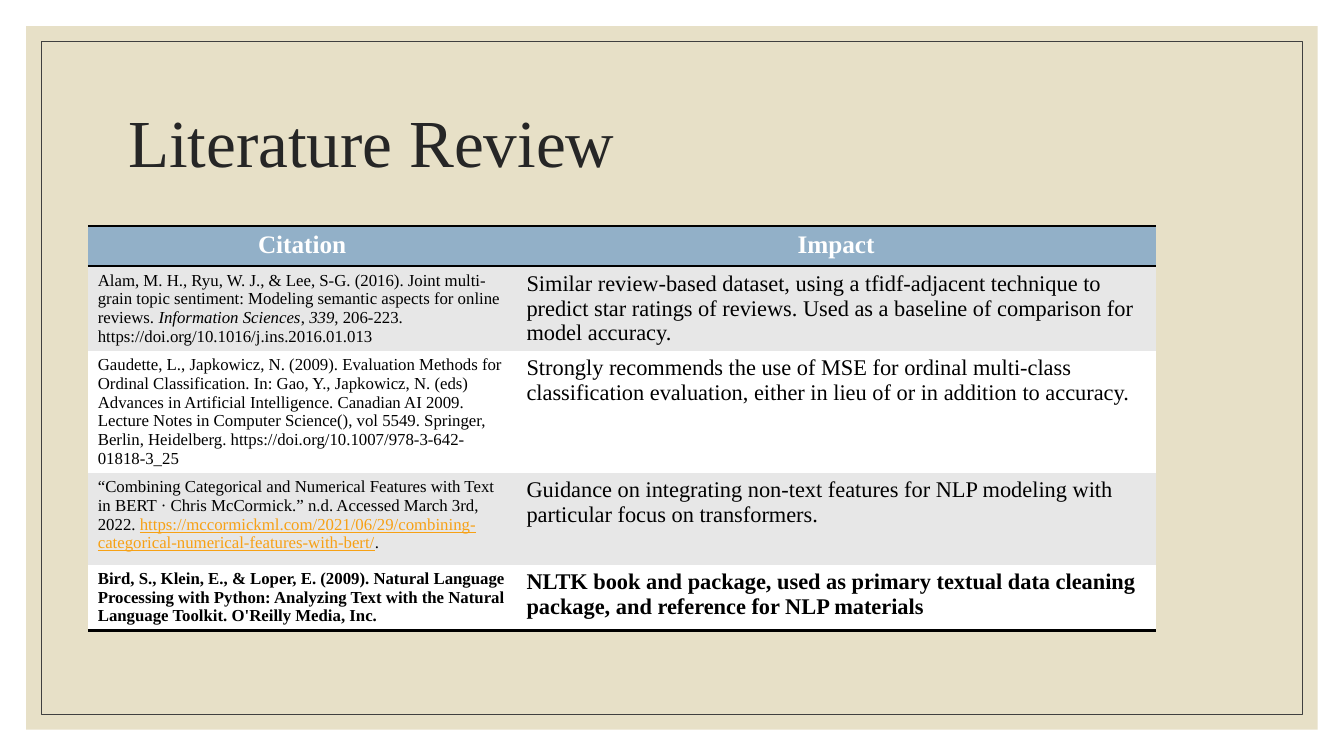
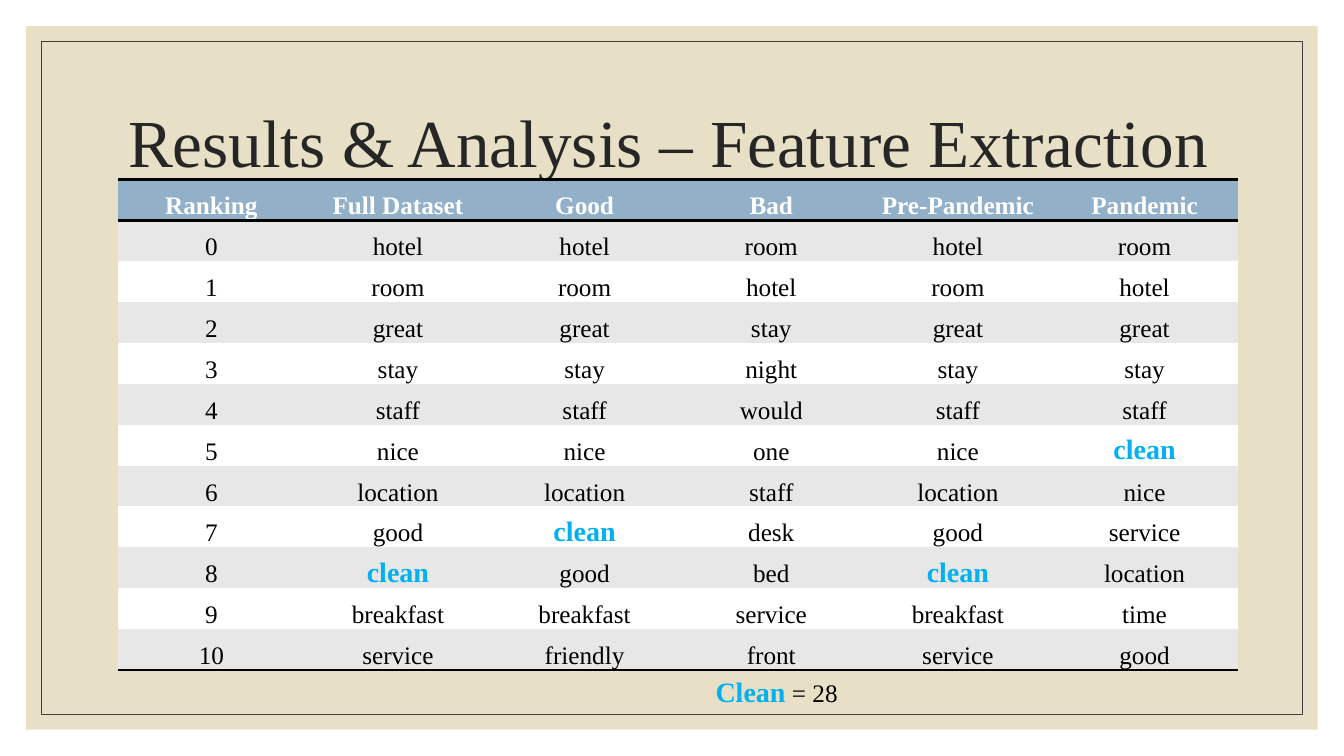
from pptx import Presentation
from pptx.dml.color import RGBColor
from pptx.enum.shapes import MSO_SHAPE
from pptx.enum.text import MSO_ANCHOR, MSO_AUTO_SIZE, PP_ALIGN
from pptx.oxml import parse_xml
from pptx.oxml.ns import nsdecls
from pptx.util import Inches, Pt

RECT = MSO_SHAPE.RECTANGLE
TOP, MIDDLE, BOTTOM = MSO_ANCHOR.TOP, MSO_ANCHOR.MIDDLE, MSO_ANCHOR.BOTTOM
NO_FIT = MSO_AUTO_SIZE.NONE
LEFT, CENTER = PP_ALIGN.LEFT, PP_ALIGN.CENTER

W, H = Inches(13.33), Inches(7.5)
FONT = "Times New Roman"
SAND, FRAME, TITLE = "E7E0C7", "404040", "262626"
HEAD, GREY, WHITE, BLACK = "92B0C8", "E7E7E7", "FFFFFF", "000000"
LINK, ACCENT = "F7A115", "00B0F0"
PLAIN_GRID = "{2D5ABB26-0587-4C30-8999-92F81FD0307C}"
TIGHT = Inches(0.01)

CITATIONS = [
    ([("Alam, M. H., Ryu, W. J., & Lee, S-G. (2016). Joint multi-grain topic sentiment: "
       "Modeling semantic aspects for online reviews. ", ""),
      ("Information Sciences", "italic"), (", ", ""), ("339", "italic"),
      (", 206-223. https://doi.org/10.1016/j.ins.2016.01.013", "")],
     "Similar review-based dataset, using a tfidf-adjacent technique to predict star ratings "
     "of reviews. Used as a baseline of comparison for model accuracy."),
    ("Gaudette, L., Japkowicz, N. (2009). Evaluation Methods for Ordinal Classification. "
     "In: Gao, Y., Japkowicz, N. (eds) Advances in Artificial Intelligence. Canadian AI 2009. "
     "Lecture Notes in Computer Science(), vol 5549. Springer, Berlin, Heidelberg. "
     "https://doi.org/10.1007/978-3-642-01818-3_25",
     "Strongly recommends the use of MSE for ordinal multi-class classification evaluation, "
     "either in lieu of or in addition to accuracy."),
    ([("“Combining Categorical and Numerical Features with Text in BERT · Chris McCormick.” "
       "n.d. Accessed March 3rd, 2022. ", ""),
      ("https://mccormickml.com/2021/06/29/combining-categorical-numerical-features-with-bert/",
       "link"), (".", "")],
     "Guidance on integrating non-text features for NLP modeling with particular focus on "
     "transformers."),
    ("Bird, S., Klein, E., & Loper, E. (2009). Natural Language Processing with Python: "
     "Analyzing Text with the Natural Language Toolkit. O'Reilly Media, Inc.",
     "NLTK book and package, used as primary textual data cleaning package, and reference "
     "for NLP materials"),
]

FEATURES = {
    "Ranking": "0 1 2 3 4 5 6 7 8 9 10",
    "Full Dataset": "hotel room great stay staff nice location good clean breakfast service",
    "Good": "hotel room great stay staff nice location clean good breakfast friendly",
    "Bad": "room hotel stay night would one staff desk bed service front",
    "Pre-Pandemic": "hotel room great stay staff nice location good clean breakfast service",
    "Pandemic": "room hotel great stay staff clean nice service location time good",
}


def rgb(value):
    return RGBColor.from_string(value)


def across(share):
    return round(W * share / 100)


def down(share):
    return round(H * share / 100)


def area(x, y, w, h):
    return across(x), down(y), across(w), down(h)


def set_font(font, size, color=BLACK, bold=False):
    font.name, font.size, font.bold = FONT, Pt(size), bold
    font.color.rgb = rgb(color)


def write(p, text, size, color=BLACK, bold=False, align=LEFT):
    p.alignment = align
    set_font(p.font, size, color, bold)
    runs = [(text, "")] if isinstance(text, str) else text
    for words, style in runs:
        r = p.add_run()
        r.text = words
        if style == "italic":
            r.font.italic = True
        elif style == "link":
            r.font.underline = True
            r.font.color.rgb = rgb(LINK)
        elif style == "accent":
            set_font(r.font, 20, ACCENT, True)


def add_frame(slide, inset, fill=None, line=None):
    edge = across(inset)
    sp = slide.shapes.add_shape(RECT, edge, edge, W - 2 * edge, H - 2 * edge)
    sp.shadow.inherit = False
    if fill:
        sp.fill.solid()
        sp.fill.fore_color.rgb = rgb(fill)
    else:
        sp.fill.background()
    if line:
        sp.line.color.rgb = rgb(line)
        sp.line.width = Pt(0.5)
    else:
        sp.line.fill.background()
    return sp


def style_layout(layout, slide):
    frames = [add_frame(slide, 1.95, fill=SAND), add_frame(slide, 3.08, line=FRAME)]
    for position, sp in enumerate(frames, start=2):
        layout.shapes.element.insert(position, sp.element)
    title = layout.placeholders[0]
    title.left, title.top, title.width, title.height = area(8.78, 9.33, 82.5, 20)


def set_title(slide, text):
    tf = slide.shapes.title.text_frame
    tf.auto_size, tf.vertical_anchor = NO_FIT, MIDDLE
    p = tf.paragraphs[0]
    p.line_spacing = 0.9
    write(p, text, 48, TITLE)


def add_rule(cell, side):
    cell._tc.get_or_add_tcPr().append(parse_xml(
        f'<a:{side} {nsdecls("a")} w="25400"><a:solidFill><a:srgbClr val="{BLACK}"/>'
        f'</a:solidFill></a:{side}>'))


def add_grid(slide, x, y, cols, rows):
    frame = slide.shapes.add_table(len(rows), len(cols), *area(x, y, sum(cols), sum(rows)))
    table = frame.table
    table._tbl.tblPr[0].text = PLAIN_GRID
    table.horz_banding = False
    for column, share in zip(table.columns, cols):
        column.width = across(share)
    for row, share in zip(table.rows, rows):
        row.height = down(share)
    last = len(rows) - 1
    for i, row in enumerate(table.rows):
        for cell in row.cells:
            if i == 0:
                add_rule(cell, "lnT")
            if i in (0, last):
                add_rule(cell, "lnB")
            cell.fill.solid()
            cell.fill.fore_color.rgb = rgb(HEAD if i == 0 else GREY if i % 2 else WHITE)
    return table


def fill_cell(cell, text, size, color=BLACK, bold=False, align=LEFT, tight=False):
    cell.vertical_anchor = BOTTOM if tight else TOP
    if tight:
        cell.margin_left = cell.margin_right = cell.margin_top = TIGHT
        cell.margin_bottom = 0
    write(cell.text_frame.paragraphs[0], text, size, color, bold, align)


def fill_header(table, labels, tight=False):
    for j, label in enumerate(labels):
        fill_cell(table.cell(0, j), label, 18, WHITE, True, CENTER, tight)


def add_citations(slide):
    table = add_grid(slide, 6.53, 29.87, [31.9, 47.55], [5.33, 11.2, 16.13, 12.13, 8.53])
    fill_header(table, ["Citation", "Impact"])
    for i, (citation, impact) in enumerate(CITATIONS, start=1):
        bold = i == len(CITATIONS)
        fill_cell(table.cell(i, 0), citation, 12, bold=bold)
        fill_cell(table.cell(i, 1), impact, 16, bold=bold)


def add_features(slide):
    table = add_grid(slide, 8.78, 23.73, [13.89] * len(FEATURES), [5.41] * 12)
    fill_header(table, FEATURES, tight=True)
    for j, words in enumerate(FEATURES.values()):
        for i, word in enumerate(words.split(), start=1):
            style = (20, ACCENT, True) if word == "clean" else (18, BLACK, False)
            fill_cell(table.cell(i, j), word, *style, CENTER, tight=True)


def add_note(slide, text):
    tf = slide.shapes.add_textbox(*area(52.5, 88.53, 12.9, 5.87)).text_frame
    tf.word_wrap = True
    write(tf.paragraphs[0], text, 18)


def main():
    prs = Presentation()
    prs.slide_width, prs.slide_height = W, H
    layout = prs.slide_layouts[5]

    review = prs.slides.add_slide(layout)
    style_layout(layout, review)
    set_title(review, "Literature Review")
    add_citations(review)

    results = prs.slides.add_slide(layout)
    set_title(results, "Results & Analysis – Feature Extraction")
    add_features(results)
    add_note(results, [("Clean", "accent"), (" = 28", "")])

    prs.save("out.pptx")


if __name__ == "__main__":
    main()
